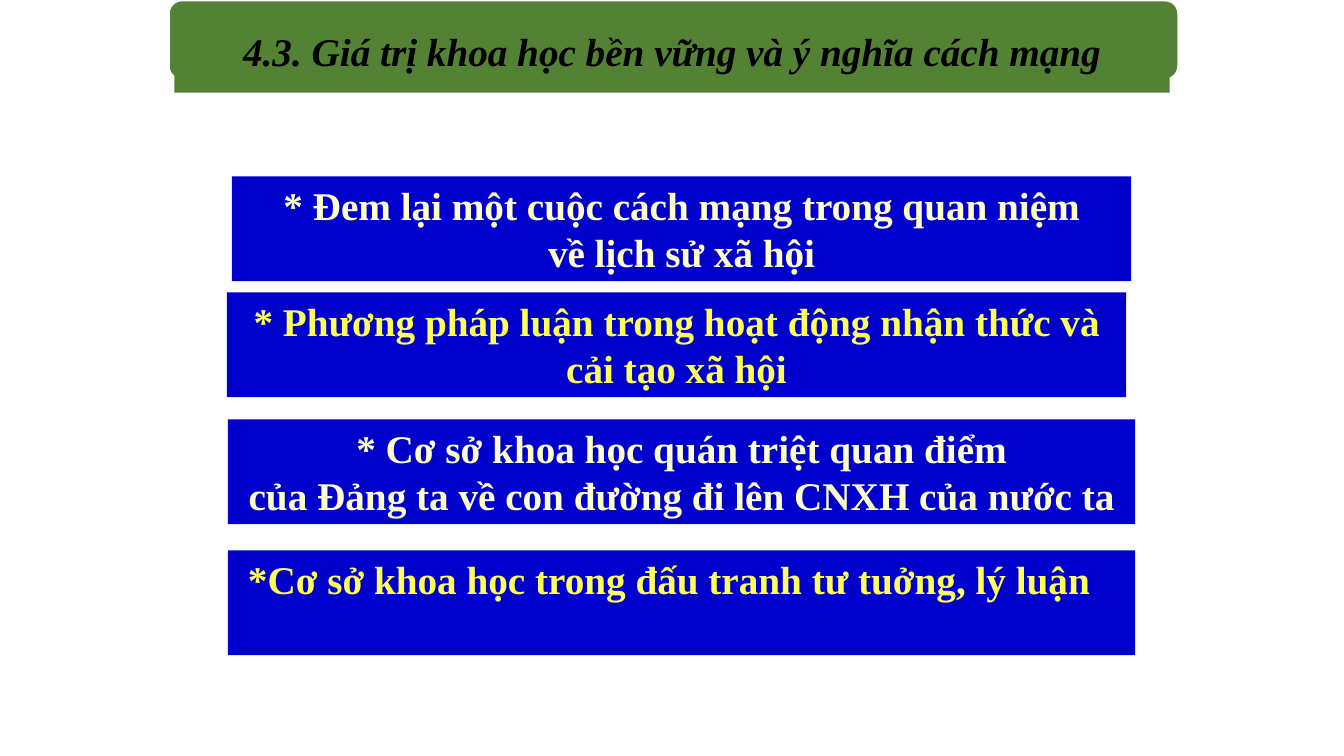
from pptx import Presentation
from pptx.dml.color import RGBColor
from pptx.enum.shapes import MSO_SHAPE as Shape
from pptx.enum.text import MSO_ANCHOR as Anchor, MSO_AUTO_SIZE as AutoSize, PP_ALIGN as Align
from pptx.util import Inches, Pt

COLORS = {
    "green": "548235",
    "blue": "0000CC",
    "white": "FFFFFF",
    "black": "000000",
    "cream": "FFFFCC",
    "yellow": "FFFF59",
}
FONT = "Times New Roman"
STATEMENTS = [
    ((2.3, 1.75, 8.92, 1.04), "cream", Align.CENTER, 0.1,
     "* Đem lại một cuộc cách mạng trong quan niệm\nvề lịch sử xã hội"),
    ((2.25, 2.9, 8.92, 1.04), "yellow", Align.CENTER, 0.1,
     "* Phương pháp luận trong hoạt động nhận thức và cải tạo xã hội"),
    ((2.26, 4.16, 9, 1.04), "cream", Align.CENTER, 0.1,
     "* Cơ sở khoa học quán triệt quan điểm\ncủa Đảng ta về con đường đi lên CNXH của nước ta"),
    ((2.26, 5.46, 9, 1.04), "yellow", Align.LEFT, 0.2,
     "*Cơ sở khoa học trong đấu tranh tư tuởng, lý luận"),
]


def color(name):
    """Return the named palette colour."""
    return RGBColor.from_string(COLORS[name])


def fill_shape(shape, fill):
    """Give a shape a solid fill."""
    shape.fill.solid()
    shape.fill.fore_color.rgb = color(fill)


def write_text(shape, text, font_color, align, anchor, margins, italic=False):
    """Set and format the text of a shape, with left, top, right and bottom margins."""
    frame = shape.text_frame
    frame.text = text
    frame.word_wrap = True
    frame.auto_size = AutoSize.NONE
    frame.vertical_anchor = anchor
    (frame.margin_left, frame.margin_top,
     frame.margin_right, frame.margin_bottom) = map(Inches, margins)
    for paragraph in frame.paragraphs:
        paragraph.alignment = align
        for run in paragraph.runs:
            run.font.name = FONT
            run.font.size = Pt(28)
            run.font.bold = True
            run.font.italic = italic
            run.font.color.rgb = color(font_color)


def add_heading(slide, left, top, width, height):
    """Place the title over a rounded band inside the given box."""
    band = slide.shapes.add_shape(
        Shape.ROUNDED_RECTANGLE, Inches(left), Inches(top), Inches(width), Inches(height - 0.13))
    band.shadow.inherit = False
    fill_shape(band, "green")
    band.line.color.rgb = color("white")
    band.line.width = Pt(2)

    title = slide.shapes.title
    title.left, title.top = Inches(left + 0.06), Inches(top + 0.08)
    title.width, title.height = Inches(width - 0.15), Inches(height - 0.08)
    fill_shape(title, "green")
    write_text(title, "4.3. Giá trị khoa học bền vững và ý nghĩa cách mạng",
               "black", Align.CENTER, Anchor.MIDDLE, (0.24, 0, 0.24, 0), italic=True)
    title.element.addprevious(band.element)


def add_statement(slide, box, font_color, align, indent, text):
    """Place one blue statement panel in the given box."""
    panel = slide.shapes.add_shape(Shape.RECTANGLE, *map(Inches, box))
    panel.shadow.inherit = False
    fill_shape(panel, "blue")
    panel.line.fill.background()
    write_text(panel, text, font_color, align, Anchor.TOP, (indent, 0.05, 0.1, 0.05))


def main():
    """Build and save the slide."""
    presentation = Presentation()
    presentation.slide_width = Inches(13.33)
    presentation.slide_height = Inches(7.5)
    slide = presentation.slides.add_slide(presentation.slide_layouts.get_by_name("Title Only"))
    add_heading(slide, 1.67, 0, 10.02, 0.92)
    for statement in STATEMENTS:
        add_statement(slide, *statement)
    presentation.save("out.pptx")


if __name__ == "__main__":
    main()
